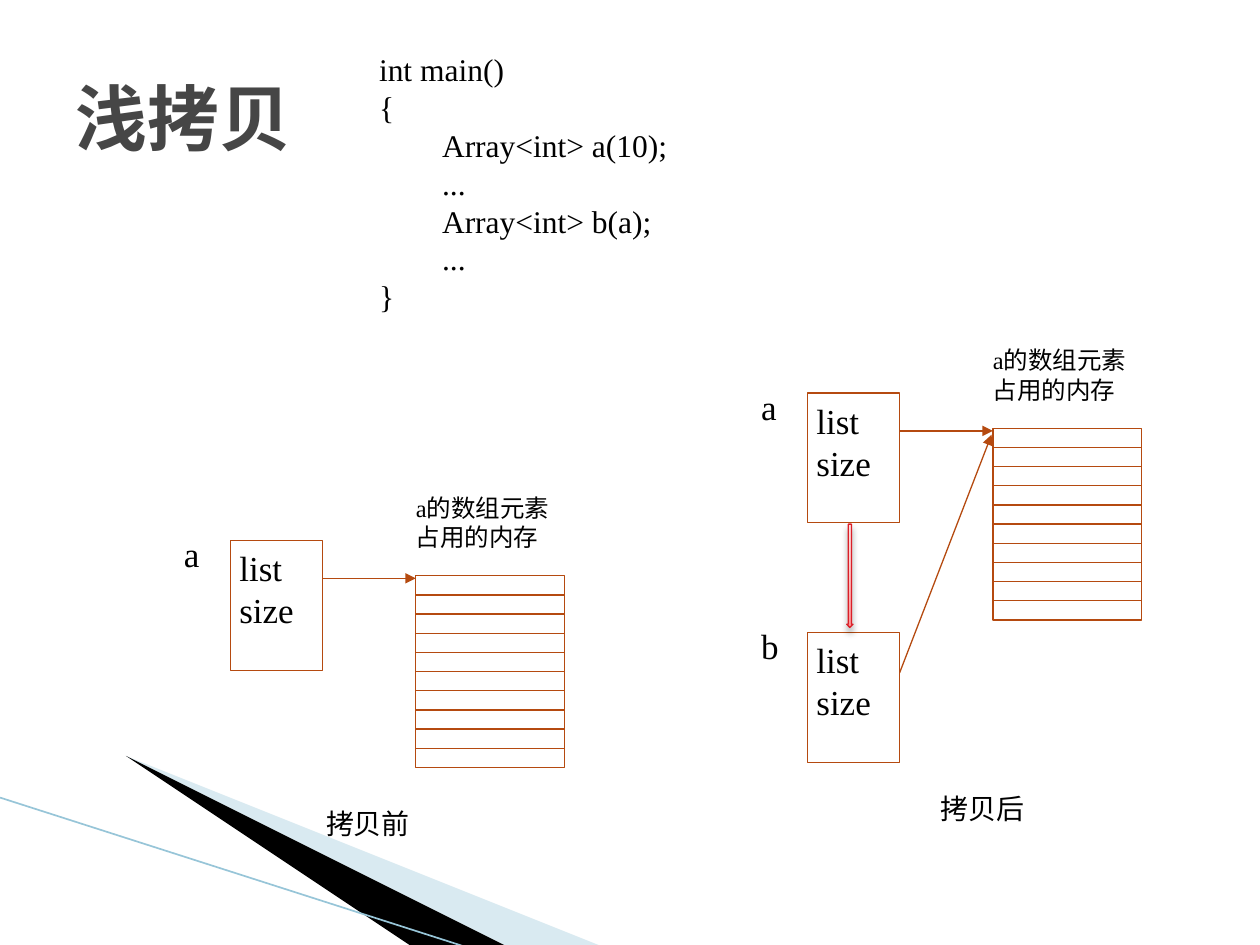
from lxml import etree
from pptx import Presentation
from pptx import util as u
from pptx.dml.color import RGBColor
from pptx.enum import shapes, text
from pptx.oxml import parse_xml
from pptx.oxml.ns import nsdecls, qn

COLORS = {
    "title": "464646", "text": "000000", "outline": "B54A10",
    "pale": "A0CBDC", "black": "000000", "edge": "97C5D8", "red": "DA1F28",
}
FONT = "Times New Roman"
ROWS = 10
I = u.Inches


def rgb(name):
    return RGBColor.from_string(COLORS[name])


def add_text(s, box, lines, size, align=text.PP_ALIGN.JUSTIFY, insets=(0, 0)):
    sp = s.shapes.add_textbox(*map(I, box))
    fill_text(sp.text_frame, lines, size, align, insets)
    return sp


def fill_text(tf, lines, size, align, insets):
    tf.word_wrap = True
    tf.vertical_anchor = text.MSO_ANCHOR.TOP
    tf.margin_left = tf.margin_right = I(insets[0])
    tf.margin_top = tf.margin_bottom = I(insets[1])
    tf.text = "\n".join(lines)
    for p in tf.paragraphs:
        p.alignment = align
        p.font.size = u.Pt(size)
        p.font.name = FONT
        p.font.color.rgb = rgb("text")


def add_line(s, x1, y1, x2, y2, color="outline", width=0.75, arrow=False):
    c = s.shapes.add_connector(shapes.MSO_CONNECTOR.STRAIGHT, I(x1), I(y1), I(x2), I(y2))
    c.line.color.rgb = rgb(color)
    c.line.width = u.Pt(width)
    if arrow:
        etree.SubElement(c.line._get_or_add_ln(), qn("a:tailEnd"), type="triangle")
    etree.SubElement(c._element.spPr, qn("a:effectLst"))
    return c


def add_box(s, box):
    sp = s.shapes.add_shape(shapes.MSO_SHAPE.RECTANGLE, *map(I, box))
    sp.shadow.inherit = False
    sp.fill.background()
    sp.line.color.rgb = rgb("outline")
    sp.line.width = u.Pt(0.75)
    return sp


def add_wedge(s, points, color, alpha=None):
    fb = s.shapes.build_freeform(*points[0], scale=I(1))
    fb.add_line_segments(points[1:])
    sp = fb.convert_to_shape()
    sp.shadow.inherit = False
    sp.fill.solid()
    sp.fill.fore_color.rgb = rgb(color)
    sp.line.fill.background()
    if alpha:
        clr = sp._element.spPr.find(qn("a:solidFill"))[0]
        etree.SubElement(clr, qn("a:alpha"), val=str(alpha * 1000))


def add_decoration(s):
    add_wedge(s, [(0.55, 6.5), (5.95, 7.5), (4.56, 7.5)], "pale", 40)
    add_wedge(s, [(0.53, 6.49), (4.57, 7.5), (3.72, 7.5)], "black")
    add_line(s, 0, 6.33, 3.71, 7.52, "edge", 0.95)


def add_title(s, box):
    sp = s.shapes.title
    sp.left, sp.top, sp.width, sp.height = map(I, box)
    tf = sp.text_frame
    tf.text = "浅拷贝"
    tf.vertical_anchor = text.MSO_ANCHOR.MIDDLE
    p = tf.paragraphs[0]
    p.alignment = text.PP_ALIGN.LEFT
    p.font.size = u.Pt(41)
    p.font.bold = True
    p.font.name = "DejaVu Sans Mono"
    p.font.color.rgb = rgb("title")


def add_code(s, box):
    lines = ["int main()", "{", "\tArray<int> a(10);", "\t...",
             "\tArray<int> b(a);", "\t...", "}"]
    add_text(s, box, lines, 18, text.PP_ALIGN.LEFT, (0.1, 0.05))


def add_object(s, name, box):
    x, y, w, h = box
    sp = add_box(s, box)
    fill_text(sp.text_frame, ["list", "size"], 20, text.PP_ALIGN.JUSTIFY, (0.07, 0.05))
    add_text(s, (x - 0.37, y - 0.06, 0.27, 0.3), [name], 20)


def add_memory(s, box):
    x, y, w, h = box
    add_box(s, box)
    for i in range(1, ROWS):
        row_y = y + h * i / ROWS
        add_line(s, x, row_y, x + w, row_y)
    add_text(s, (x, y - 0.66, 1.27, 0.63), ["a的数组元素", "占用的内存"], 14)


def add_state(s, x, y):
    add_object(s, "a", (x, y, 0.73, 1.03))
    add_memory(s, (x + 1.47, y + 0.28, 1.18, 1.52))
    add_line(s, x + 0.73, y + 0.3, x + 1.47, y + 0.3, arrow=True)


def add_caption(s, box, caption):
    add_text(s, box, [caption], 16, text.PP_ALIGN.CENTER, (0.1, 0))


def add_copy_arrow(s, box):
    sp = s.shapes.add_shape(shapes.MSO_SHAPE.DOWN_ARROW, *map(I, box))
    sp.line.color.rgb = rgb("red")
    sp.line.width = u.Pt(0.75)
    stops = [(0, "FF9294"), (65, "FFCDCD"), (100, "FFDCDC")]
    gs = "".join(f'<a:gs pos="{pos * 1000}"><a:srgbClr val="{c}"/></a:gs>' for pos, c in stops)
    ln = sp._element.spPr.find(qn("a:ln"))
    ln.addprevious(parse_xml(
        f'<a:gradFill {nsdecls("a")}><a:gsLst>{gs}</a:gsLst>'
        '<a:lin ang="16200000" scaled="0"/></a:gradFill>'))
    ln.addnext(parse_xml(
        f'<a:effectLst {nsdecls("a")}><a:outerShdw blurRad="{u.Pt(4)}" dist="{u.Pt(3)}" '
        'dir="5400000" rotWithShape="0"><a:srgbClr val="000000"><a:alpha val="35000"/>'
        '</a:srgbClr></a:outerShdw></a:effectLst>'))


def add_before(s, x, y):
    add_state(s, x, y)
    add_caption(s, (x + 0.18, y + 2.11, 1.82, 0.35), "拷贝前")


def add_after(s, x, y):
    add_state(s, x, y)
    add_caption(s, (x + 0.48, y + 3.16, 1.82, 0.35), "拷贝后")
    add_object(s, "b", (x, y + 1.9, 0.73, 1.03))
    add_line(s, x + 0.73, y + 2.22, x + 1.46, y + 0.33, arrow=True)
    add_copy_arrow(s, (x + 0.31, y + 1.04, 0.05, 0.82))


def main():
    prs = Presentation()
    prs.slide_width, prs.slide_height = I(10), I(7.5)
    s = prs.slides.add_slide(prs.slide_layouts[5])
    add_decoration(s)
    add_title(s, (0.5, 0.3, 9, 1.25))
    add_code(s, (2.91, 0.35, 3.58, 2.22))
    add_before(s, 1.83, 4.29)
    add_after(s, 6.41, 3.12)
    prs.save("out.pptx")


if __name__ == "__main__":
    main()
